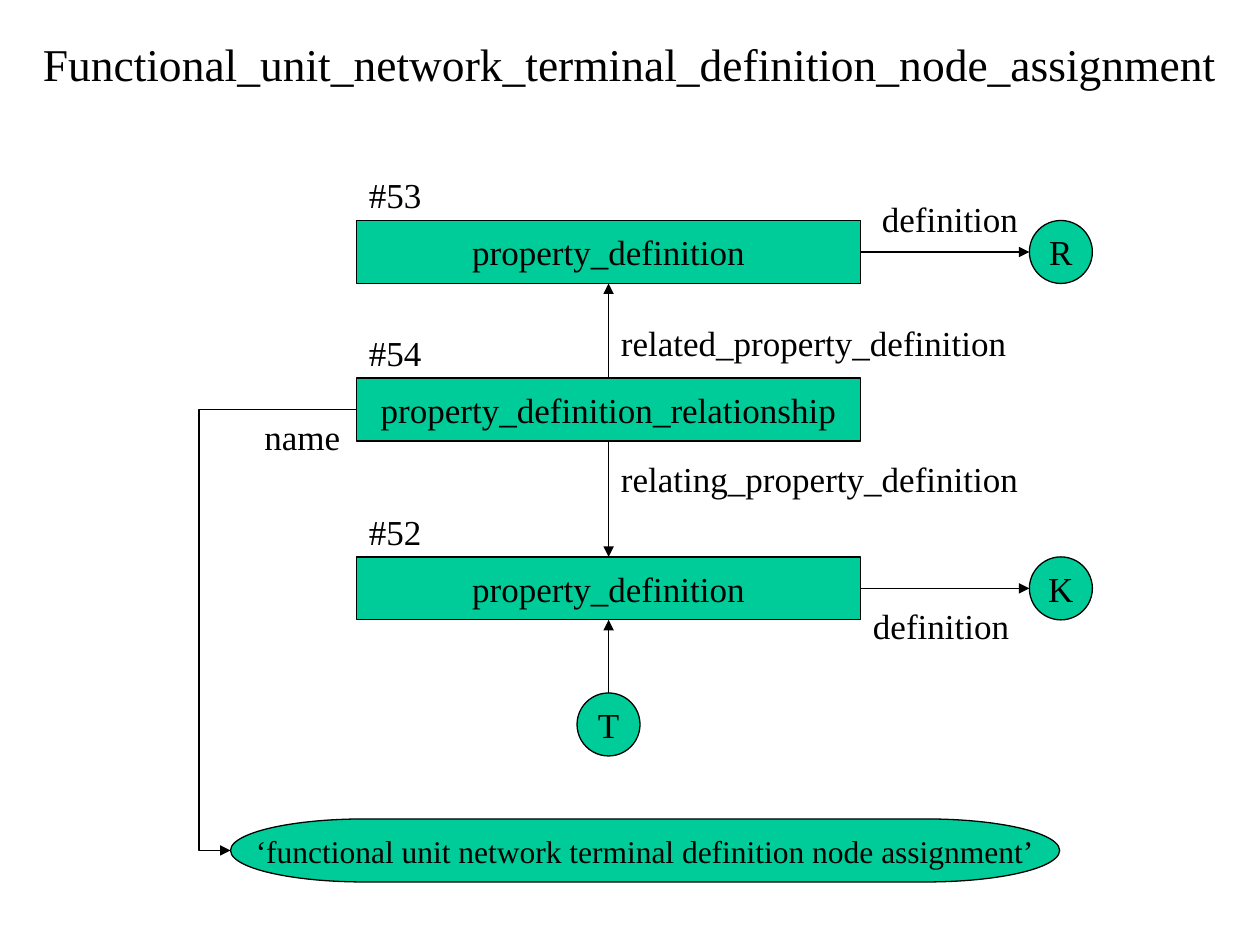
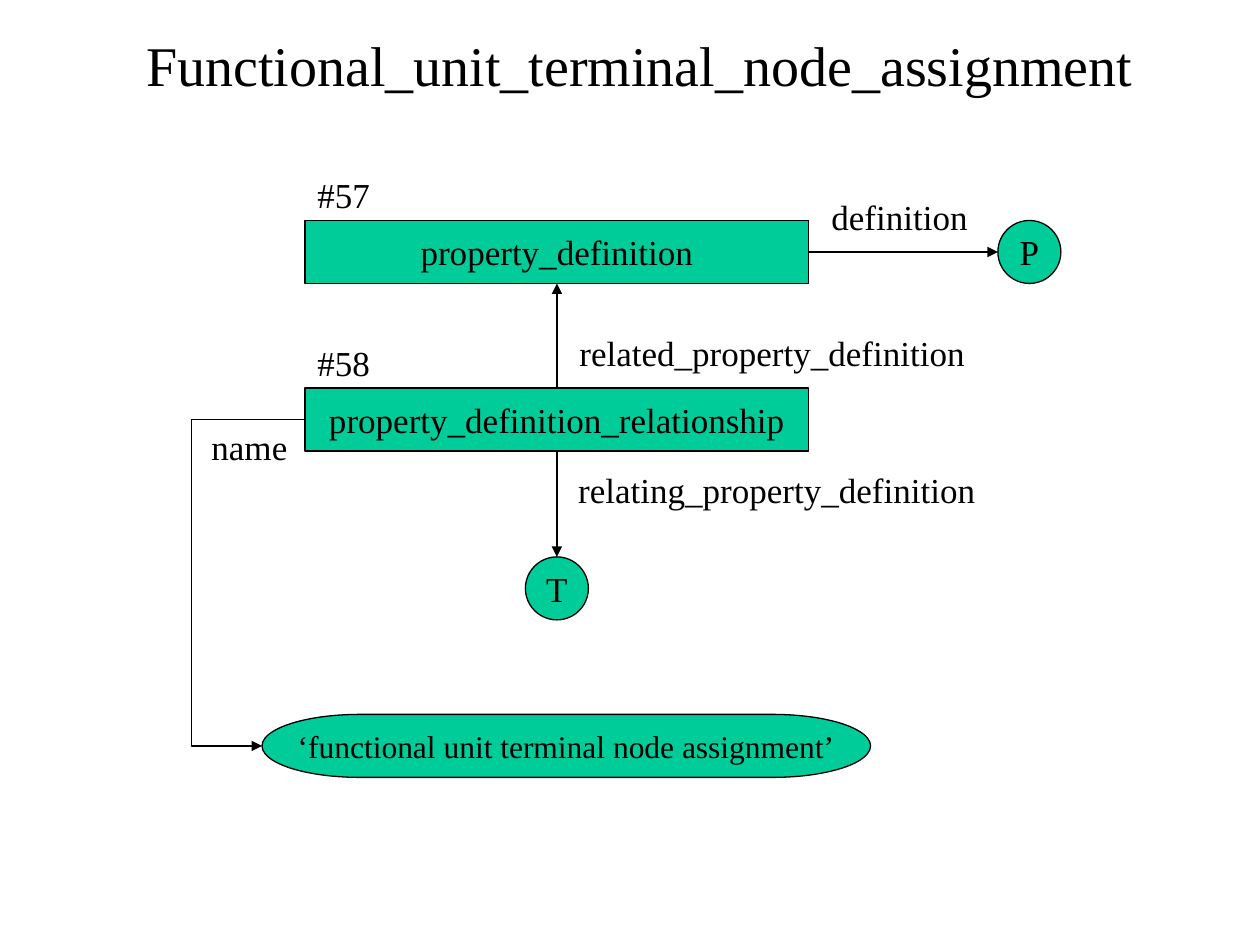
import enum
from dataclasses import dataclass
from typing import Optional

import pptx
import pptx.dml.color
import pptx.enum.shapes
import pptx.enum.text
import pptx.oxml
import pptx.oxml.ns
import pptx.util
from pptx.util import Inches

COLORS = {"node": "00CC99", "ink": "000000", "background": "FFFFFF"}
FONT = "Times New Roman"
LINE_WIDTH = pptx.util.Pt(0.75)
BODY_SIZE = 20
VALUE_SIZE = 18
NODE_HEIGHT = 0.5
ENTITY_WIDTH = 4
LABEL_HEIGHT = 0.44
IDENTIFIER_WIDTH = 0.63
IDENTIFIER_RISE = 0.42
LABEL_WIDTHS = {
    "name": 0.8,
    "definition": 1.28,
    "related_property_definition": 3.26,
    "relating_property_definition": 3.35,
}

ShapeType = pptx.enum.shapes.MSO_SHAPE
ConnectorType = pptx.enum.shapes.MSO_CONNECTOR
Align = pptx.enum.text.PP_ALIGN
Anchor = pptx.enum.text.MSO_ANCHOR
AutoSize = pptx.enum.text.MSO_AUTO_SIZE


class Side(enum.Enum):
    """Connection points as fractions of a node's width and height."""
    TOP = (0.5, 0)
    LEFT = (0, 0.5)
    BOTTOM = (0.5, 1)
    RIGHT = (1, 0.5)


@dataclass(frozen=True)
class Node:
    text: str
    left: float
    top: float
    width: float = ENTITY_WIDTH
    preset: ShapeType = ShapeType.RECTANGLE
    size: int = BODY_SIZE
    identifier: str = ""

    def point(self, side: Side) -> tuple[float, float]:
        across, down = side.value
        return self.left + across * self.width, self.top + down * NODE_HEIGHT


@dataclass(frozen=True)
class Arrow:
    start: Node
    start_side: Side
    end: Node
    end_side: Side
    label: str = ""
    label_at: tuple[float, float] = (0, 0)
    spine: Optional[float] = None  # horizontal place of an elbow's upright part


@dataclass(frozen=True)
class Diagram:
    title: str
    title_size: int
    title_left: float
    title_width: float
    nodes: list[Node]
    arrows: list[Arrow]


def color(name: str) -> pptx.dml.color.RGBColor:
    return pptx.dml.color.RGBColor.from_string(COLORS[name])


def write_text(shape, text: str, *, size: int = BODY_SIZE, align=Align.LEFT,
               anchor=Anchor.TOP, wrap: bool = False,
               auto_size=AutoSize.NONE) -> None:
    frame = shape.text_frame
    frame.word_wrap = wrap
    frame.auto_size = auto_size
    frame.vertical_anchor = anchor
    frame.margin_left = frame.margin_right = Inches(0.1)
    frame.margin_top = frame.margin_bottom = Inches(0.05)
    paragraph = frame.paragraphs[0]
    paragraph.alignment = align
    run = paragraph.add_run()
    run.text = text
    run.font.size = pptx.util.Pt(size)
    run.font.name = FONT
    run.font.color.rgb = color("ink")


def draw_title(slide, diagram: Diagram) -> None:
    title = slide.shapes.title
    title.left, title.top = Inches(diagram.title_left), Inches(0.17)
    title.width, title.height = Inches(diagram.title_width), Inches(0.67)
    write_text(title, diagram.title, size=diagram.title_size,
               align=Align.CENTER, anchor=Anchor.MIDDLE, wrap=True)


def draw_label(slide, text: str, left: float, top: float, width: float) -> None:
    box = slide.shapes.add_textbox(Inches(left), Inches(top),
                                   Inches(width), Inches(LABEL_HEIGHT))
    write_text(box, text, auto_size=AutoSize.SHAPE_TO_FIT_TEXT)


def draw_node(slide, node: Node) -> None:
    shape = slide.shapes.add_shape(node.preset, Inches(node.left), Inches(node.top),
                                   Inches(node.width), Inches(NODE_HEIGHT))
    shape.shadow.inherit = False
    shape.fill.solid()
    shape.fill.fore_color.rgb = color("node")
    shape.line.color.rgb = color("ink")
    shape.line.width = LINE_WIDTH
    write_text(shape, node.text, size=node.size,
               align=Align.CENTER, anchor=Anchor.MIDDLE)
    if node.identifier:
        draw_label(slide, node.identifier, node.left,
                   node.top - IDENTIFIER_RISE, IDENTIFIER_WIDTH)


def add_element(parent, tag: str, **attributes: str) -> None:
    element = pptx.oxml.parse_xml(f"<{tag} {pptx.oxml.ns.nsdecls('a')}/>")
    for name, value in attributes.items():
        element.set(name, value)
    parent.append(element)


def draw_arrow(slide, arrow: Arrow) -> None:
    start_x, start_y = arrow.start.point(arrow.start_side)
    end_x, end_y = arrow.end.point(arrow.end_side)
    kind = ConnectorType.STRAIGHT if arrow.spine is None else ConnectorType.ELBOW
    connector = slide.shapes.add_connector(kind, Inches(start_x), Inches(start_y),
                                           Inches(end_x), Inches(end_y))
    connector.line.color.rgb = color("ink")
    connector.line.width = LINE_WIDTH
    properties = connector._element.spPr
    add_element(properties.find(pptx.oxml.ns.qn("a:ln")), "a:tailEnd", type="triangle")
    add_element(properties, "a:effectLst")
    if arrow.spine is not None:
        bend = round(100000 * (start_x - arrow.spine) / (start_x - end_x))
        adjustments = properties.find(".//" + pptx.oxml.ns.qn("a:avLst"))
        add_element(adjustments, "a:gd", name="adj1", fmla=f"val {bend}")
    if arrow.label:
        draw_label(slide, arrow.label, *arrow.label_at, LABEL_WIDTHS[arrow.label])


def reference(letter: str, left: float, top: float) -> Node:
    """Round node that points to another diagram."""
    return Node(letter, left, top, NODE_HEIGHT, ShapeType.FLOWCHART_CONNECTOR)


def value(text: str, left: float, top: float, width: float) -> Node:
    """Rounded node that holds a literal string."""
    return Node(text, left, top, width, ShapeType.FLOWCHART_TERMINATOR, VALUE_SIZE)


def definition_node_diagram() -> Diagram:
    related = Node("property_definition", 2.83, 1.75, identifier="#53")
    relationship = Node("property_definition_relationship", 2.83, 3, identifier="#54")
    relating = Node("property_definition", 2.83, 4.42, identifier="#52")
    node_r = reference("R", 8.17, 1.75)
    node_k = reference("K", 8.17, 4.42)
    node_t = reference("T", 4.58, 5.5)
    name = value("‘functional unit network terminal definition node assignment’",
                 1.83, 6.5, 6.58)
    return Diagram(
        "Functional_unit_network_terminal_definition_node_assignment", 26, 0, 10,
        [related, relationship, relating, node_r, node_k, node_t, name],
        [
            Arrow(related, Side.RIGHT, node_r, Side.LEFT, "definition", (6.9, 1.52)),
            Arrow(relating, Side.RIGHT, node_k, Side.LEFT, "definition", (6.83, 4.75)),
            Arrow(relationship, Side.TOP, related, Side.BOTTOM,
                  "related_property_definition", (4.83, 2.5)),
            Arrow(relationship, Side.BOTTOM, relating, Side.TOP,
                  "relating_property_definition", (4.83, 3.58)),
            Arrow(node_t, Side.TOP, relating, Side.BOTTOM),
            Arrow(relationship, Side.LEFT, name, Side.LEFT, "name", (2, 3.25), 1.58),
        ],
    )


def terminal_node_diagram() -> Diagram:
    related = Node("property_definition", 2.42, 1.75, identifier="#57")
    relationship = Node("property_definition_relationship", 2.42, 3.08, identifier="#58")
    node_p = reference("P", 7.92, 1.75)
    node_t = reference("T", 4.17, 4.42)
    name = value("‘functional unit terminal node assignment’", 2.08, 5.67, 4.83)
    return Diagram(
        "Functional_unit_terminal_node_assignment", 32, 0.83, 8.5,
        [related, relationship, node_p, node_t, name],
        [
            Arrow(related, Side.RIGHT, node_p, Side.LEFT, "definition", (6.5, 1.5)),
            Arrow(relationship, Side.TOP, related, Side.BOTTOM,
                  "related_property_definition", (4.5, 2.58)),
            Arrow(relationship, Side.BOTTOM, node_t, Side.TOP,
                  "relating_property_definition", (4.49, 3.67)),
            Arrow(relationship, Side.LEFT, name, Side.LEFT, "name", (1.58, 3.33), 1.52),
        ],
    )


def draw_diagram(presentation, diagram: Diagram) -> None:
    title_only = presentation.slide_layouts.get_by_name("Title Only")
    slide = presentation.slides.add_slide(title_only)
    slide.background.fill.solid()
    slide.background.fill.fore_color.rgb = color("background")
    draw_title(slide, diagram)
    for node in diagram.nodes:
        draw_node(slide, node)
    for arrow in diagram.arrows:
        draw_arrow(slide, arrow)


def main() -> None:
    presentation = pptx.Presentation()
    presentation.slide_width = Inches(10)
    presentation.slide_height = Inches(7.5)
    for diagram in (definition_node_diagram(), terminal_node_diagram()):
        draw_diagram(presentation, diagram)
    presentation.save("out.pptx")


if __name__ == "__main__":
    main()
